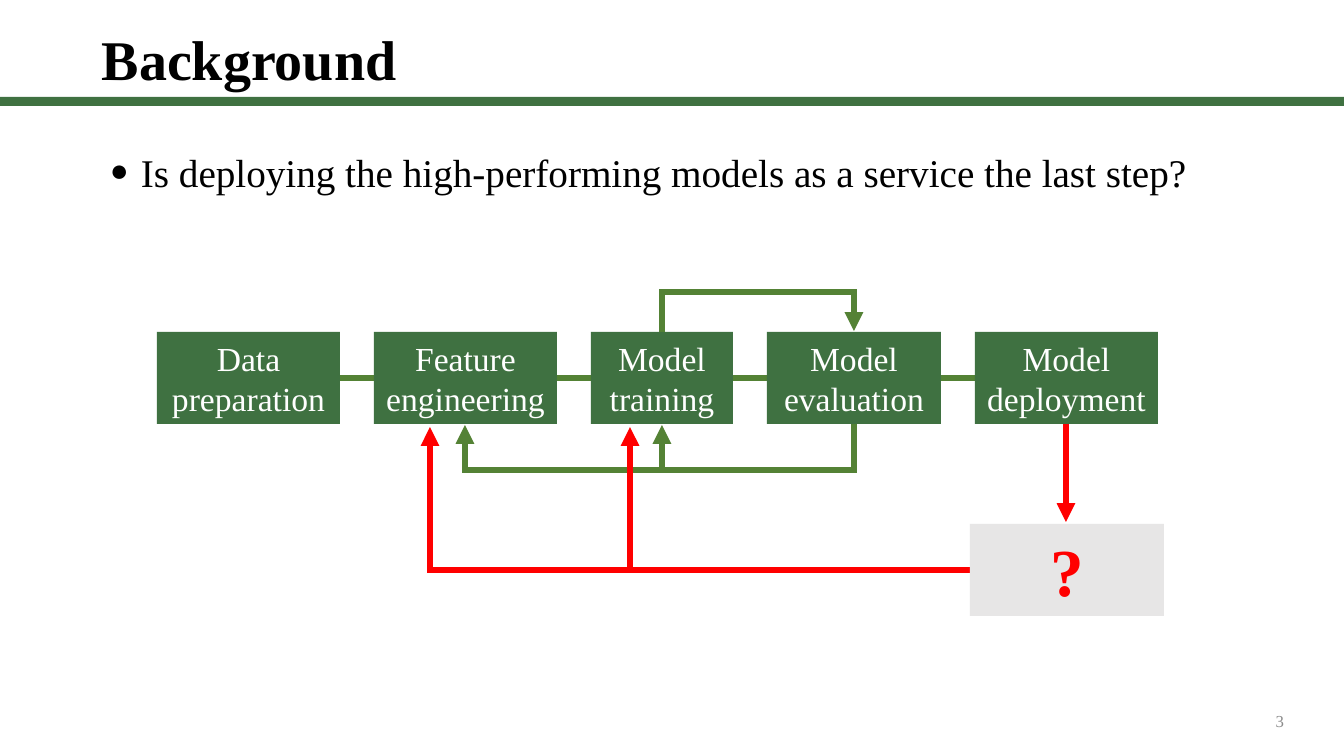
from lxml.etree import SubElement
from pptx import Presentation
from pptx.dml.color import RGBColor
from pptx.enum.shapes import MSO_CONNECTOR, MSO_SHAPE
from pptx.enum.text import MSO_ANCHOR, PP_ALIGN
from pptx.oxml.ns import qn
from pptx.util import Pt

SCALE = 12192000 / 1344  # EMU per px
FONT = "Times New Roman"
COLORS = {
    "green": "3F7141",
    "wire": "548235",
    "red": "FF0000",
    "gray": "E7E6E6",
    "page": "8C8C8C",
    "black": "000000",
    "white": "FFFFFF",
}


def emu(px):
    return round(px * SCALE)


def rgb(name):
    return RGBColor.from_string(COLORS[name])


class Board:
    def __init__(self, deck):
        self.slide = deck.slides.add_slide(deck.slide_layouts[6])
        self.shapes = self.slide.shapes

    def label(self, shape, text, size, color, align, anchor, bold=False):
        frame = shape.text_frame
        frame.word_wrap = True
        frame.vertical_anchor = anchor
        for i, line in enumerate(text.split("\n")):
            para = frame.paragraphs[0] if i == 0 else frame.add_paragraph()
            para.alignment = align
            run = para.add_run()
            run.text = line
            font = run.font
            font.name, font.size, font.bold = FONT, Pt(size), bold
            font.color.rgb = rgb(color)
        return frame.paragraphs[0]

    def text(self, area, text, size, color="black", align=PP_ALIGN.LEFT,
             anchor=MSO_ANCHOR.MIDDLE, bold=False):
        box = self.shapes.add_textbox(*map(emu, area))
        return self.label(box, text, size, color, align, anchor, bold)

    def bullet(self, area, text, size):
        para = self.text(area, text, size, anchor=MSO_ANCHOR.TOP)
        props = para._p.get_or_add_pPr()
        props.set("marL", str(emu(39)))
        props.set("indent", str(emu(-31)))
        SubElement(props, qn("a:buSzPct")).set("val", "80000")
        SubElement(props, qn("a:buFont")).set("typeface", FONT)
        SubElement(props, qn("a:buChar")).set("char", "●")

    def rect(self, area, fill, text="", size=24, color="white", bold=False):
        box = self.shapes.add_shape(MSO_SHAPE.RECTANGLE, *map(emu, area))
        box.shadow.inherit = False
        box.fill.solid()
        box.fill.fore_color.rgb = rgb(fill)
        box.line.fill.background()
        if text:
            self.label(box, text, size, color, PP_ALIGN.CENTER,
                       MSO_ANCHOR.MIDDLE, bold)

    def stroke(self, shape, color, arrow):
        shape.line.color.rgb = rgb(color)
        shape.line.width = Pt(4.5)
        ln = shape.line._get_or_add_ln()
        SubElement(ln, qn("a:miter")).set("lim", "800000")
        if arrow:
            SubElement(ln, qn("a:tailEnd")).set("type", "triangle")

    def line(self, start, end, color, arrow=False):
        link = self.shapes.add_connector(
            MSO_CONNECTOR.STRAIGHT, *map(emu, start + end))
        self.stroke(link, color, arrow)
        SubElement(link._element.spPr, qn("a:effectLst"))

    def elbow(self, points, color):
        pen = self.shapes.build_freeform(*points[0], scale=SCALE)
        pen.add_line_segments(points[1:], close=False)
        bend = pen.convert_to_shape()
        bend.shadow.inherit = False
        bend.fill.background()
        self.stroke(bend, color, True)


def main():
    deck = Presentation()
    deck.slide_width, deck.slide_height = emu(1344), emu(756)
    board = Board(deck)

    # Header, question and page number
    board.rect((0, 97, 1344, 9), "green")
    title = board.text((92, 33, 913, 58), "Background", 40, bold=True)
    title.line_spacing = 0.9
    board.bullet(
        (92, 143, 1140, 521),
        "Is deploying the high-performing models as a service the last step?",
        28)
    board.text((992, 701, 302, 40), "3", 12, "page", PP_ALIGN.RIGHT)

    # Pipeline steps, evenly spaced and joined
    steps = [
        ("Data\npreparation", 183),
        ("Feature\nengineering", 183),
        ("Model\ntraining", 142),
        ("Model\nevaluation", 174),
        ("Model\ndeployment", 183),
    ]
    left, top, high, gap = 157, 332, 92, 34
    base, mid = top + high, top + high // 2
    hubs = []
    for i, (name, wide) in enumerate(steps):
        if i:
            board.line((left - gap, mid), (left, mid), "wire")
        board.rect((left, top, wide, high), "green", name)
        hubs.append(left + wide // 2)
        left += wide + gap
    feature, train, review, deploy = hubs[1:]

    # Evaluation loops
    for goal in (feature, train):
        board.elbow([(review, base), (review, 470), (goal, 470),
                     (goal, base + 1)], "wire")
    board.elbow([(train, top), (train, 292), (review, 292),
                 (review, top - 1)], "wire")

    # Unknown step after deployment and its feedback
    board.line((deploy, base), (deploy, 522), "red", True)
    for goal in (630, 430):
        board.elbow([(970, 570), (goal, 570), (goal, base + 3)], "red")
    board.rect((970, 524, 194, high), "gray", "?", 48, "red", True)

    deck.save("out.pptx")


if __name__ == "__main__":
    main()
